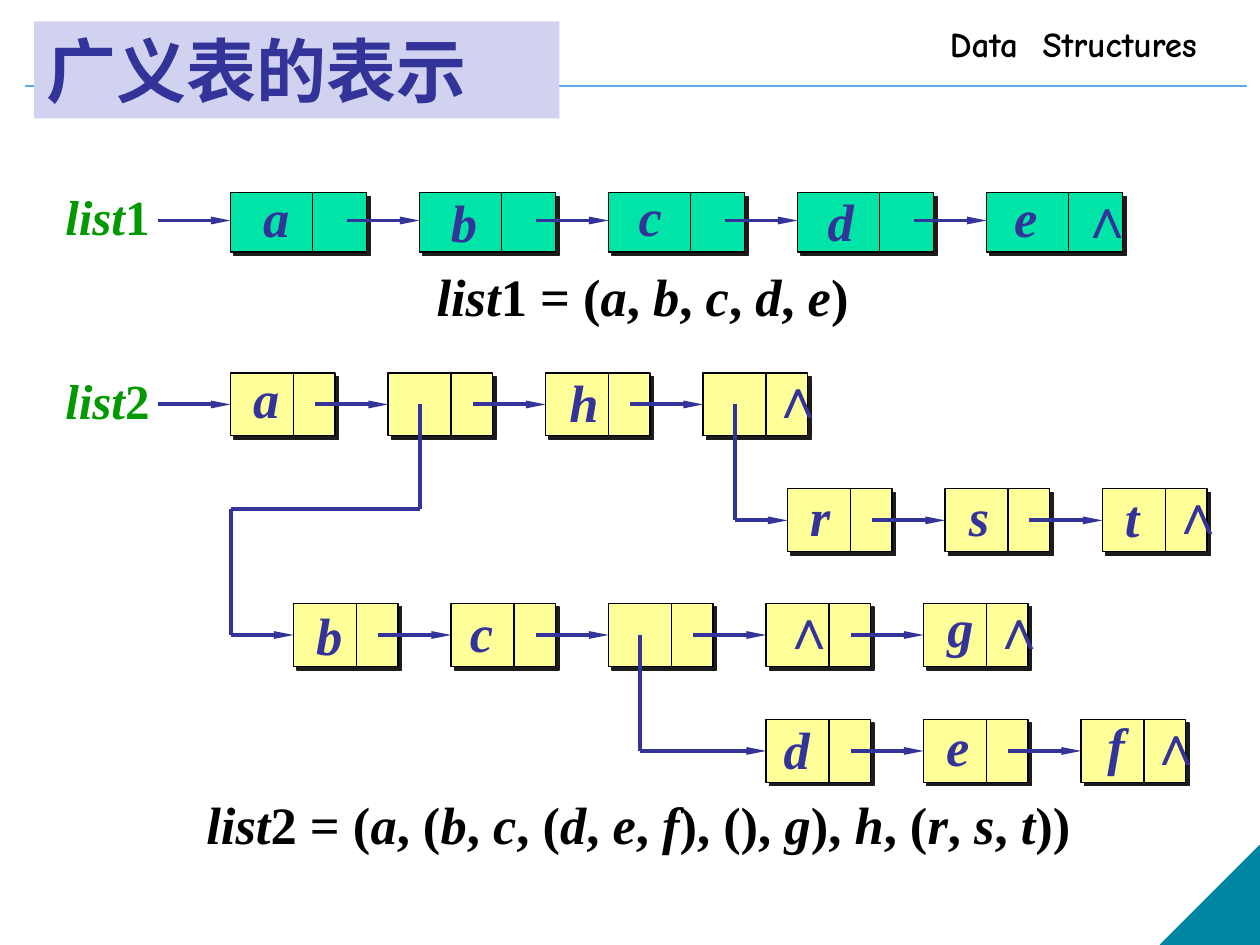
from itertools import groupby

from lxml import etree
from pptx import Presentation
from pptx.dml.color import RGBColor
from pptx.enum import shapes as kinds, text as layout
from pptx.oxml.ns import qn
from pptx.util import Inches, Pt

BLACK = RGBColor(0x00, 0x00, 0x00)
INDIGO = RGBColor(0x33, 0x33, 0x99)
LAVENDER = RGBColor(0xD1, 0xD1, 0xF0)
SKY = RGBColor(0x5A, 0xAA, 0xED)
TEAL = RGBColor(0x00, 0x85, 0xA4)
LABEL_GREEN = RGBColor(0x00, 0x99, 0x00)
NODE_GREEN = RGBColor(0x00, 0xE4, 0xA8)
NODE_YELLOW = RGBColor(0xFF, 0xFF, 0x99)

SERIF = "Times New Roman"
NIL = "∧"

# Node geometry of each list: step between nodes, divider, pointer start and height
FLAT = dict(fill=NODE_GREEN, width=1.08, height=0.47, step=1.5,
            divider=0.65, pointer=0.92, middle=0.22, nil=0.64)
NESTED = dict(fill=NODE_YELLOW, width=0.83, height=0.5, step=1.25,
              divider=0.5, pointer=0.67, middle=0.25, nil=0.44)


def write(frame, text, size=30, color=INDIGO, font=SERIF, bold=True,
          symbolic=True, align=layout.PP_ALIGN.LEFT, wrap=False,
          anchor=layout.MSO_ANCHOR.TOP, word_gap=0):
    """Fill a text frame; symbolic text has its letters in italics."""
    frame.word_wrap = wrap
    frame.vertical_anchor = anchor
    paragraph = frame.paragraphs[0]
    paragraph.alignment = align
    parts = groupby(text, key=lambda char: char.isalpha())
    for is_word, chars in parts:
        run = paragraph.add_run()
        run.text = "".join(chars)
        run.font.name = font
        run.font.size = Pt(size)
        run.font.bold = bold
        run.font.italic = symbolic and is_word
        run.font.color.rgb = color
        properties = run.font._element
        etree.SubElement(properties, qn("a:ea"), typeface=font)
        if word_gap and not is_word:
            properties.set("spc", str(word_gap * 100))


def add_label(target, text, left, top, width=0.45, height=0.6, **style):
    box = target.add_textbox(Inches(left), Inches(top), Inches(width), Inches(height))
    write(box.text_frame, text, **style)


def add_line(target, start, end, color=INDIGO, weight=2.25, arrow=False):
    line = target.add_connector(kinds.MSO_CONNECTOR.STRAIGHT,
                                *(Inches(value) for value in (*start, *end)))
    line.line.color.rgb = color
    line.line.width = Pt(weight)
    properties = line.element.spPr
    if arrow:
        etree.SubElement(properties.find(qn("a:ln")), qn("a:tailEnd"),
                         type="triangle", w="sm", len="lg")
    etree.SubElement(properties, qn("a:effectLst"))


def add_link(target, *points):
    """Draw a bent pointer whose last leg carries the arrowhead."""
    for start, end in zip(points, points[1:]):
        add_line(target, start, end, arrow=end == points[-1])


def add_block(target, kind, left, top, width, height, fill, outline):
    block = target.add_shape(kind, Inches(left), Inches(top), Inches(width), Inches(height))
    block.shadow.inherit = False
    block.fill.solid()
    block.fill.fore_color.rgb = fill
    block.line.color.rgb = outline
    block.line.width = Pt(0.75)
    return block


def add_node(target, left, top, style):
    box = add_block(target, kinds.MSO_SHAPE.RECTANGLE, left, top,
                    style["width"], style["height"], style["fill"], BLACK)
    shadow = etree.SubElement(box.element.spPr.find(qn("a:effectLst")), qn("a:outerShdw"),
                              dist=str(Pt(2.8)), dir="2700000", algn="ctr", rotWithShape="0")
    etree.SubElement(shadow, qn("a:srgbClr"), val="1C1C1C")
    divider = left + style["divider"]
    add_line(target, (divider, top), (divider, top + style["height"]), BLACK, 0.75)


def add_chain(target, left, top, style, cells):
    """Draw linked nodes; a cell is (content, dx, dy), or None for a sublist."""
    middle = top + style["middle"]
    for index, cell in enumerate(cells):
        x = left + index * style["step"]
        add_node(target, x, top, style)
        if cell:
            content, dx, dy = cell
            add_label(target, content, x + dx, top + dy, size=32 if content == NIL else 30)
        if index < len(cells) - 1:
            add_line(target, (x + style["pointer"], middle), (x + style["step"], middle),
                     arrow=True)
        else:
            add_label(target, NIL, x + style["nil"], top - 0.13, size=32)


def add_head(target, name, label_top, pointer_y):
    add_label(target, name, 0.42, label_top, 0.87, 0.57, size=28, color=LABEL_GREEN)
    add_line(target, (1.25, pointer_y), (1.83, pointer_y), arrow=True)


def add_frame(slide):
    """Header rule, course name, corner and title."""
    add_line(slide.shapes, (0.2, 0.68), (9.9, 0.68), SKY, 1)
    corner = add_block(slide.shapes, kinds.MSO_SHAPE.RIGHT_TRIANGLE,
                       9.21, 6.71, 0.79, 0.79, TEAL, TEAL)
    corner.element.spPr.find(qn("a:xfrm")).set("flipH", "1")
    add_label(slide.shapes, "Data Structures", 7.44, 0.13, 2.6, 0.43, size=20,
              color=BLACK, font="Comic Neue", symbolic=False, word_gap=7)

    title = slide.shapes.title
    title.left, title.top = Inches(0.27), Inches(0.17)
    title.width, title.height = Inches(4.17), Inches(0.77)
    title.fill.solid()
    title.fill.fore_color.rgb = LAVENDER
    title.text_frame.auto_size = layout.MSO_AUTO_SIZE.NONE
    write(title.text_frame, "广义表的表示", size=40, font="Noto Sans CJK SC",
          symbolic=False, wrap=True, anchor=layout.MSO_ANCHOR.MIDDLE)
    # The title panel covers the header rule
    title.element.getparent().append(title.element)


def add_nested_list(target):
    add_head(target, "list2", 2.89, 3.21)
    add_chain(target, 1.83, 2.96, NESTED,
              [("a", 0.08, -0.1), None, ("h", 0.09, -0.07), None])
    add_chain(target, 6.25, 3.88, NESTED,
              [("r", 0.08, -0.09), ("s", 0.09, -0.09), ("t", 0.08, -0.08)])
    add_chain(target, 2.33, 4.79, NESTED,
              [("b", 0.08, -0.05), ("c", 0.05, -0.08), None,
               (NIL, 0.02, -0.13), ("g", 0.09, -0.12)])
    add_chain(target, 6.08, 5.71, NESTED,
              [("d", 0.04, -0.07), ("e", 0.08, -0.09), ("f", 0.11, -0.1)])
    # Pointers down to the sublists
    add_link(target, (3.33, 3.21), (3.33, 4.04), (1.83, 4.04), (1.83, 5.04), (2.33, 5.04))
    add_link(target, (5.83, 3.21), (5.83, 4.13), (6.25, 4.13))
    add_link(target, (5.08, 5.04), (5.08, 5.96), (6.08, 5.96))


def add_flat_list(target):
    add_head(target, "list1", 1.43, 1.75)
    add_chain(target, 1.83, 1.53, FLAT,
              [("a", 0.16, -0.11), ("b", 0.15, -0.07), ("c", 0.14, -0.12),
               ("d", 0.14, -0.08), ("e", 0.12, -0.11)])


def main():
    deck = Presentation()
    deck.slide_width, deck.slide_height = Inches(10), Inches(7.5)
    slide = deck.slides.add_slide(deck.slide_layouts[5])
    add_frame(slide)
    # Written forms of both lists
    add_label(slide.shapes, "list1 = (a, b, c, d, e)", 0.62, 2.05, 8.96,
              color=BLACK, align=layout.PP_ALIGN.CENTER, wrap=True)
    add_label(slide.shapes, "list2 = (a, (b, c, (d, e, f), (), g), h, (r, s, t))",
              1.54, 6.24, 7.21, color=BLACK, wrap=True)
    # Linked diagrams
    add_nested_list(slide.shapes.add_group_shape().shapes)
    add_flat_list(slide.shapes.add_group_shape().shapes)
    deck.save("out.pptx")


if __name__ == "__main__":
    main()
